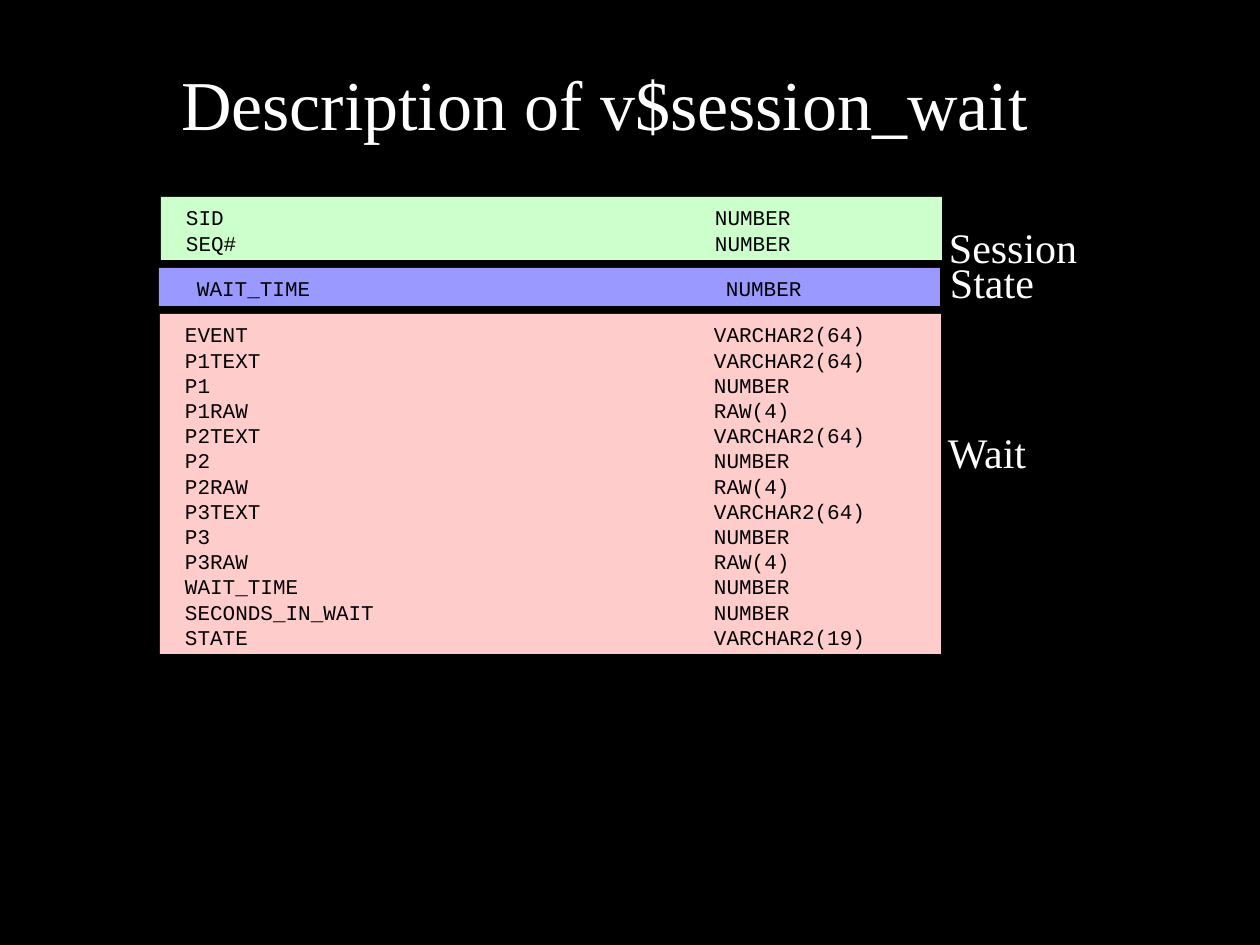
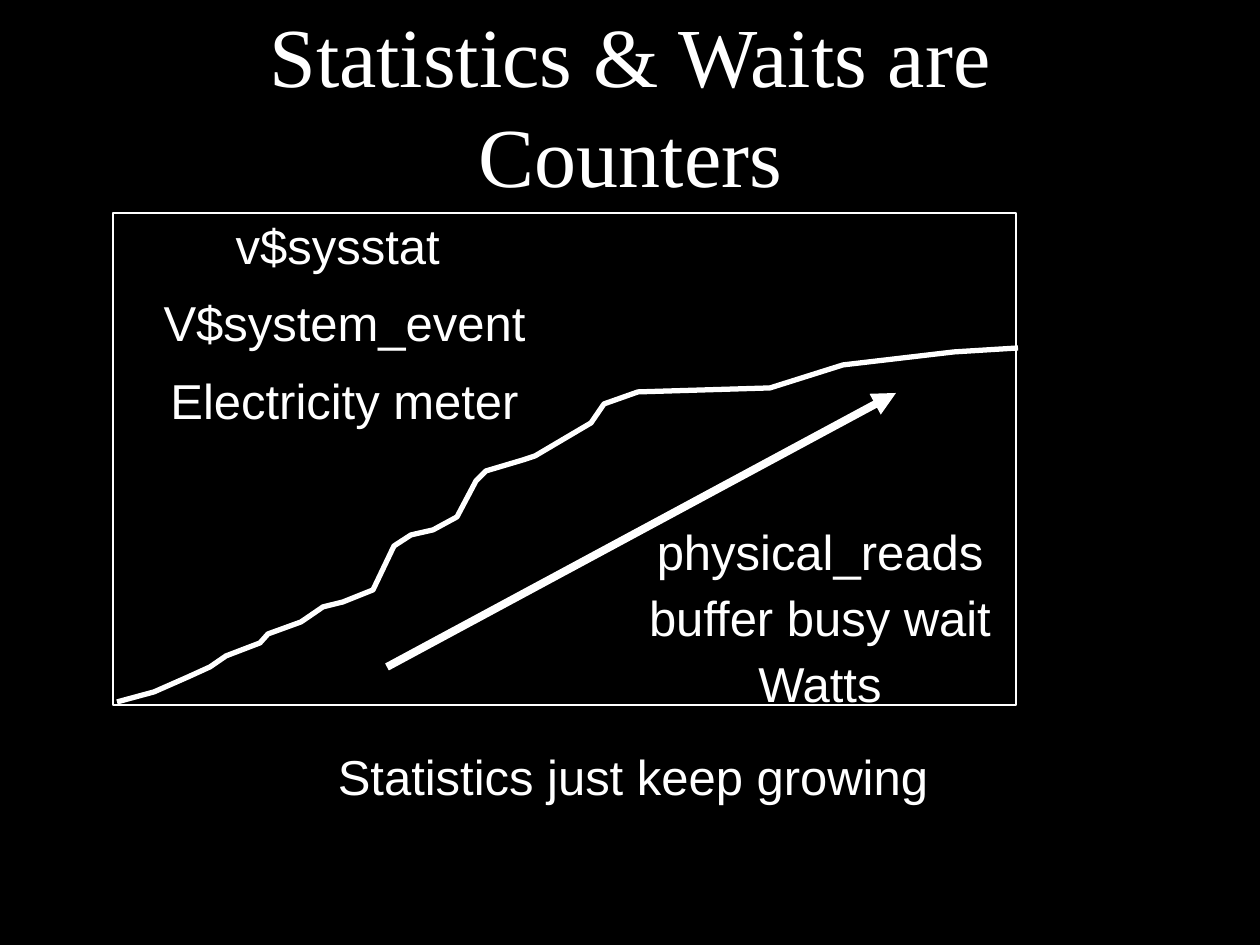
from lxml import etree
from pptx import Presentation
from pptx.dml.color import RGBColor
from pptx.enum.shapes import MSO_CONNECTOR, MSO_SHAPE
from pptx.enum.text import MSO_ANCHOR, MSO_AUTO_SIZE, PP_ALIGN
from pptx.oxml.ns import qn
from pptx.util import Emu, Pt

PX = 914400 / 126
SLIDE_WIDTH, SLIDE_HEIGHT = 1260, 945
TITLE_ONLY = 5
LEFT, CENTER = PP_ALIGN.LEFT, PP_ALIGN.CENTER
TOP, MIDDLE = MSO_ANCHOR.TOP, MSO_ANCHOR.MIDDLE
SERIF, SANS, MONO = "Times New Roman", "Arial", "Courier New"
COLORS = {
    "background": "000000",
    "light": "FFFFFF",
    "dark": "000000",
    "session": "CCFFCC",
    "state": "9999FF",
    "wait": "FFCCCC",
}

SESSION_COLUMNS = [("SID", "NUMBER"), ("SEQ#", "NUMBER")]
STATE_COLUMNS = [("WAIT_TIME", "NUMBER")]
WAIT_COLUMNS = [
    ("EVENT", "VARCHAR2(64)"),
    ("P1TEXT", "VARCHAR2(64)"),
    ("P1", "NUMBER"),
    ("P1RAW", "RAW(4)"),
    ("P2TEXT", "VARCHAR2(64)"),
    ("P2", "NUMBER"),
    ("P2RAW", "RAW(4)"),
    ("P3TEXT", "VARCHAR2(64)"),
    ("P3", "NUMBER"),
    ("P3RAW", "RAW(4)"),
    ("WAIT_TIME", "NUMBER"),
    ("SECONDS_IN_WAIT", "NUMBER"),
    ("STATE", "VARCHAR2(19)"),
]
TYPE_TAB = 529

# Growth curve, relative to the graph frame
GROWTH_POINTS = [
    (4, 489), (41, 479), (75, 464), (97, 454), (113, 443), (147, 430),
    (155, 421), (188, 409), (210, 394), (230, 389), (260, 377), (281, 333),
    (298, 322), (320, 317), (344, 304), (363, 268), (373, 258), (410, 247),
    (422, 243), (478, 210), (491, 191), (525, 179), (657, 175), (730, 152),
    (841, 139), (905, 135),
]


def px(length):
    return Emu(round(length * PX))


def color(name):
    return RGBColor.from_string(COLORS[name])


def write_text(shape, lines, *, size, font, ink="light", align=LEFT, anchor=TOP,
               leading=1.2, before=0, inset_left=13, inset_top=6, tab=None):
    """Fill a shape with one paragraph per line."""
    frame = shape.text_frame
    frame.word_wrap = True
    frame.auto_size = MSO_AUTO_SIZE.NONE
    frame.vertical_anchor = anchor
    frame.margin_left, frame.margin_right = px(inset_left), px(13)
    frame.margin_top, frame.margin_bottom = px(inset_top), px(6)
    for index, line in enumerate(lines):
        paragraph = frame.paragraphs[0] if index == 0 else frame.add_paragraph()
        paragraph.text = line
        paragraph.alignment = align
        paragraph.line_spacing = Pt(size * leading)
        paragraph.space_before = Pt(before if index else 0)
        if tab:
            tab_list = etree.SubElement(paragraph._p.get_or_add_pPr(), qn("a:tabLst"))
            etree.SubElement(tab_list, qn("a:tab"), pos=str(px(tab)), algn="l")
        for run in paragraph.runs:
            run.font.size = Pt(size)
            run.font.name = font
            run.font.color.rgb = color(ink)


def add_text(slide, box, lines, **text_format):
    shape = slide.shapes.add_textbox(*map(px, box))
    write_text(shape, lines, **text_format)


def add_rectangle(slide, box):
    shape = slide.shapes.add_shape(MSO_SHAPE.RECTANGLE, *map(px, box))
    shape.shadow.inherit = False
    return shape


def set_line(shape, width):
    shape.line.color.rgb = color("light")
    shape.line.width = Pt(width)


def add_titled_slide(presentation, title, box, size):
    slide = presentation.slides.add_slide(presentation.slide_layouts[TITLE_ONLY])
    shape = slide.shapes.title
    shape.left, shape.top, shape.width, shape.height = map(px, box)
    write_text(shape, [title], size=size, font=SERIF, align=CENTER, anchor=MIDDLE)
    return slide


def add_column_panel(slide, box, columns, fill, indent=25):
    """Coloured panel listing column names and their types."""
    panel = add_rectangle(slide, box)
    panel.fill.solid()
    panel.fill.fore_color.rgb = color(fill)
    panel.line.fill.background()
    write_text(panel, ["\t".join(column) for column in columns], size=12, font=MONO,
               ink="dark", inset_left=indent, inset_top=8, tab=TYPE_TAB)


def add_growth_graph(slide, box):
    """Framed graph with a rising curve, a trend arrow and two captions."""
    left, top, _, _ = box
    frame = add_rectangle(slide, box)
    frame.fill.background()
    set_line(frame, 0.75)

    # Curve
    points = [(left + x, top + y) for x, y in GROWTH_POINTS]
    builder = slide.shapes.build_freeform(*points[0], scale=PX)
    builder.add_line_segments(points[1:], close=False)
    curve = builder.convert_to_shape()
    curve.shadow.inherit = False
    curve.fill.background()
    set_line(curve, 3)

    # Trend arrow
    arrow = slide.shapes.add_connector(
        MSO_CONNECTOR.STRAIGHT,
        px(left + 274), px(top + 454), px(left + 783), px(top + 180))
    set_line(arrow, 4.5)
    etree.SubElement(arrow.line._get_or_add_ln(), qn("a:tailEnd"), type="triangle")
    etree.SubElement(arrow._element.spPr, qn("a:effectLst"))

    # Captions
    caption = {"size": 28, "font": SANS, "align": CENTER, "before": 17.5}
    add_text(slide, (left + 480, top + 232, 454, 270),
             ["physical_reads", "buffer busy wait", "Watts"],
             leading=0.72, inset_top=100, **caption)
    add_text(slide, (left + 21, top + 6, 421, 215),
             ["v$sysstat ", "V$system_event", "Electricity meter"],
             leading=0.96, inset_top=8, **caption)


def build_session_wait_slide(presentation):
    slide = add_titled_slide(presentation, "Description of v$session_wait",
                             (69, 66, 1071, 73), 40)
    add_column_panel(slide, (161, 197, 781, 63), SESSION_COLUMNS, "session")
    add_column_panel(slide, (160, 314, 781, 340), WAIT_COLUMNS, "wait")
    add_column_panel(slide, (159, 268, 781, 38), STATE_COLUMNS, "state", indent=38)

    # Group labels
    label = {"size": 24, "font": SERIF}
    add_text(slide, (936, 160, 267, 192), ["Session"], inset_top=62, **label)
    add_text(slide, (935, 363, 252, 270), ["Wait"], inset_top=63, **label)
    add_text(slide, (937, 257, 140, 64), ["State"], inset_top=0, **label)


def build_counters_slide(presentation):
    slide = add_titled_slide(presentation, "Statistics & Waits are\vCounters",
                             (95, 25, 1071, 158), 48)
    add_growth_graph(slide, (113, 213, 903, 492))
    add_text(slide, (286, 741, 694, 72), ["Statistics just keep growing"],
             size=28, font=SANS, align=CENTER)


def main():
    presentation = Presentation()
    presentation.slide_width = px(SLIDE_WIDTH)
    presentation.slide_height = px(SLIDE_HEIGHT)
    background = presentation.slide_master.background.fill
    background.solid()
    background.fore_color.rgb = color("background")
    build_session_wait_slide(presentation)
    build_counters_slide(presentation)
    presentation.save("out.pptx")


if __name__ == "__main__":
    main()
